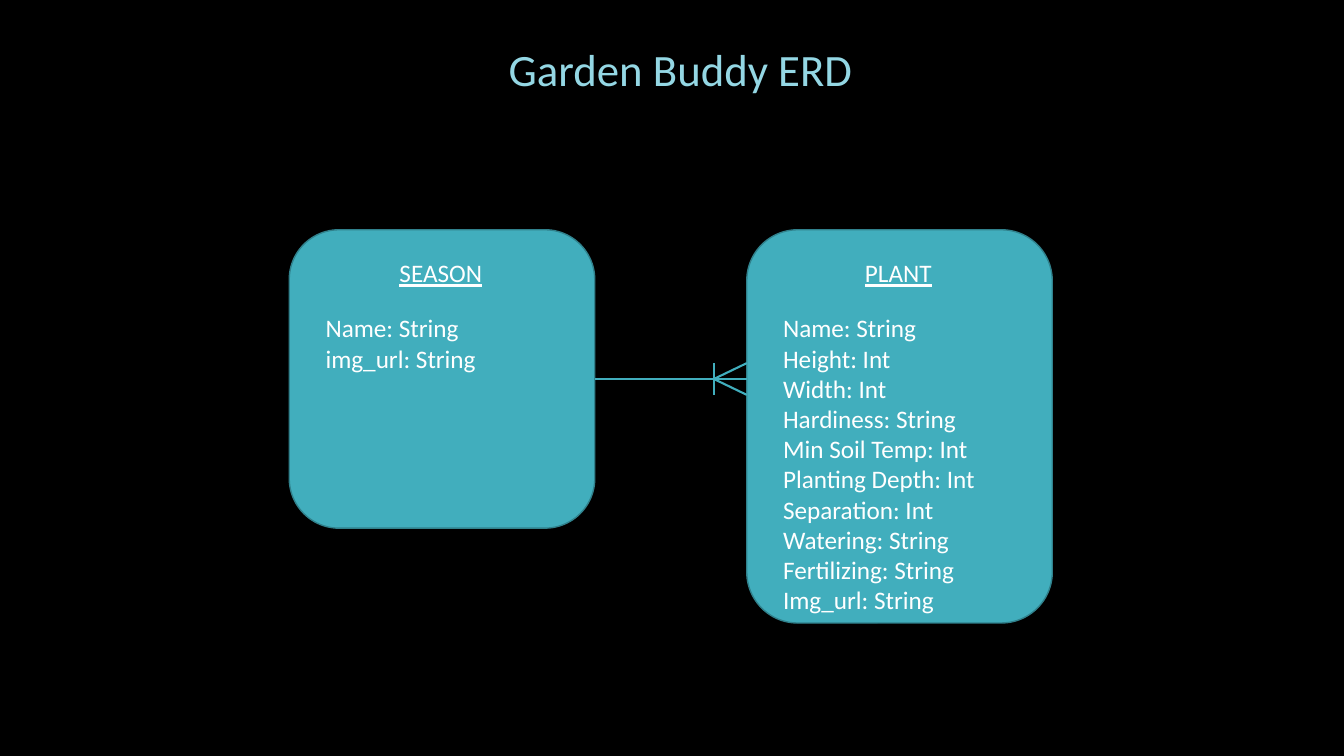
from dataclasses import dataclass

from lxml.etree import SubElement
from pptx import Presentation
from pptx.dml.color import RGBColor
from pptx.enum.shapes import MSO_CONNECTOR as Link, MSO_SHAPE as Form
from pptx.enum.text import MSO_ANCHOR as Anchor, MSO_AUTO_SIZE as Fit, PP_ALIGN as Align
from pptx.oxml.ns import qn
from pptx.shapes.autoshape import Shape
from pptx.shapes.connector import Connector
from pptx.text.text import TextFrame, _Paragraph as Para
from pptx.util import Cm, Pt

TEAL, EDGE, WHITE, PALE, BLACK = "41AEBD", "30818C", "FFFFFF", "94D7E4", "000000"
TOP, WIDE = 5.79, 7.7  # shared by both entity boxes, cm
PAD, INNER = 0.66, 6.32  # text inset and width, cm


@dataclass
class Entity:
    name: str
    left: float
    high: float
    slot: int  # body placeholder index
    depth: float  # height of the field list
    fields: list[str]


SEASON = Entity("SEASON", 7.29, 7.52, 1, 1.8, ["Name: String", "img_url: String"])
PLANT = Entity("PLANT", 18.82, 9.91, 2, 7.95, [
    "Name: String", "Height: Int", "Width: Int", "Hardiness: String",
    "Min Soil Temp: Int", "Planting Depth: Int", "Separation: Int",
    "Watering: String", "Fertilizing: String", "Img_url: String"])


def paint(code: str) -> RGBColor:
    return RGBColor.from_string(code)


def place(shape: Shape, left: float, top: float, wide: float, high: float) -> None:
    shape.left, shape.top = Cm(left), Cm(top)
    shape.width, shape.height = Cm(wide), Cm(high)


def write(para: Para, text: str, size: int, code: str, under: bool = False) -> None:
    run = para.add_run()
    run.text = text
    font = run.font
    font.name, font.size, font.color.rgb = "Calibri", Pt(size), paint(code)
    if under:
        font.underline = True


def setup(frame: TextFrame, fit: Fit, anchor: Anchor) -> None:
    frame.word_wrap = True
    frame.auto_size = fit
    frame.vertical_anchor = anchor


def draw_entity(item: Entity) -> Shape:
    # Rounded box
    box = slide.shapes.add_shape(Form.ROUNDED_RECTANGLE, Cm(item.left), Cm(TOP),
                                 Cm(WIDE), Cm(item.high))
    box.shadow.inherit = False
    box.fill.solid()
    box.fill.fore_color.rgb = paint(TEAL)
    box.line.color.rgb = paint(EDGE)
    box.line.width = Pt(1)

    # Underlined name
    left = item.left + PAD
    head = slide.shapes.add_textbox(Cm(left), Cm(TOP + 0.58), Cm(INNER), Cm(1.07))
    setup(head.text_frame, Fit.SHAPE_TO_FIT_TEXT, Anchor.TOP)
    para = head.text_frame.paragraphs[0]
    para.alignment = Align.CENTER
    write(para, item.name, 18, WHITE, under=True)

    # Field list, raised above the box
    body = slide.placeholders[item.slot]
    place(body, left, TOP + 1.96, INNER, item.depth)
    slide.shapes._spTree.append(body._element)
    frame = body.text_frame
    setup(frame, Fit.SHAPE_TO_FIT_TEXT, Anchor.TOP)
    for spot, field in enumerate(item.fields):
        para = frame.add_paragraph() if spot else frame.paragraphs[0]
        para.space_before = Pt(0)
        props = para._p.get_or_add_pPr()
        props.set("marL", "0")
        props.set("indent", "0")
        SubElement(props, qn("a:buNone"))
        write(para, field, 18, WHITE)
    return box


def draw_line(x1: float, y1: float, x2: float, y2: float) -> Connector:
    line = slide.shapes.add_connector(Link.STRAIGHT, Cm(x1), Cm(y1), Cm(x2), Cm(y2))
    line.line.color.rgb = paint(TEAL)
    line.line.width = Pt(1.5)
    SubElement(line._element.spPr, qn("a:effectLst"))
    return line


# Slide
deck = Presentation()
deck.slide_width, deck.slide_height = Cm(33.87), Cm(19.05)
slide = deck.slides.add_slide(deck.slide_layouts[3])
slide.background.fill.solid()
slide.background.fill.fore_color.rgb = paint(BLACK)

# Title
title = slide.shapes.title
place(title, 4.45, 0.48, 25.4, 2.08)
setup(title.text_frame, Fit.NONE, Anchor.BOTTOM)
lead = title.text_frame.paragraphs[0]
lead.alignment = Align.CENTER
lead.line_spacing = 0.9
write(lead, "Garden Buddy ERD", 32, PALE)

# Entities
season = draw_entity(SEASON)
draw_entity(PLANT)

# One-to-many link with crow's foot
mid = TOP + SEASON.high / 2
tip, half = PLANT.left - 0.83, 0.4
link = draw_line(SEASON.left + WIDE, mid, PLANT.left, mid)
link.begin_connect(season, 3)
draw_line(tip, mid - half, tip, mid + half)
for side in (-half, half):
    draw_line(tip, mid, PLANT.left, mid + side)

deck.save("out.pptx")
